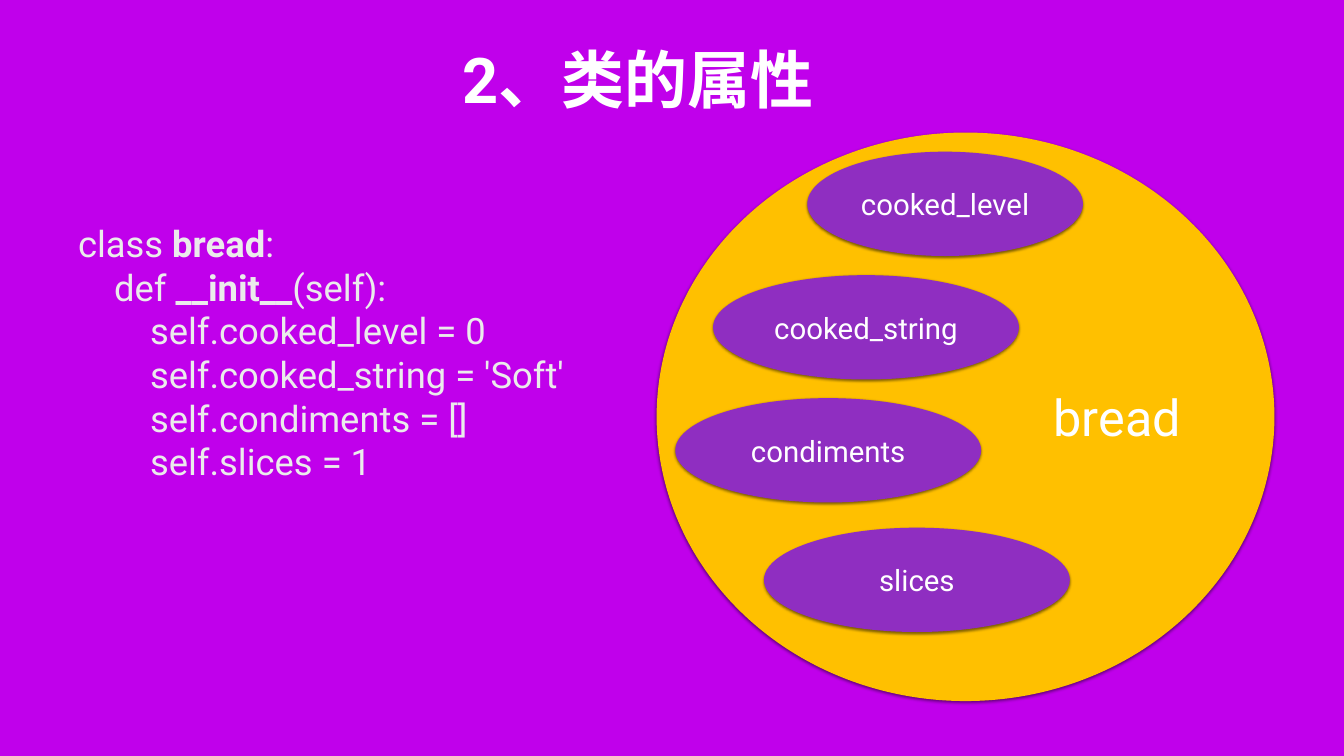
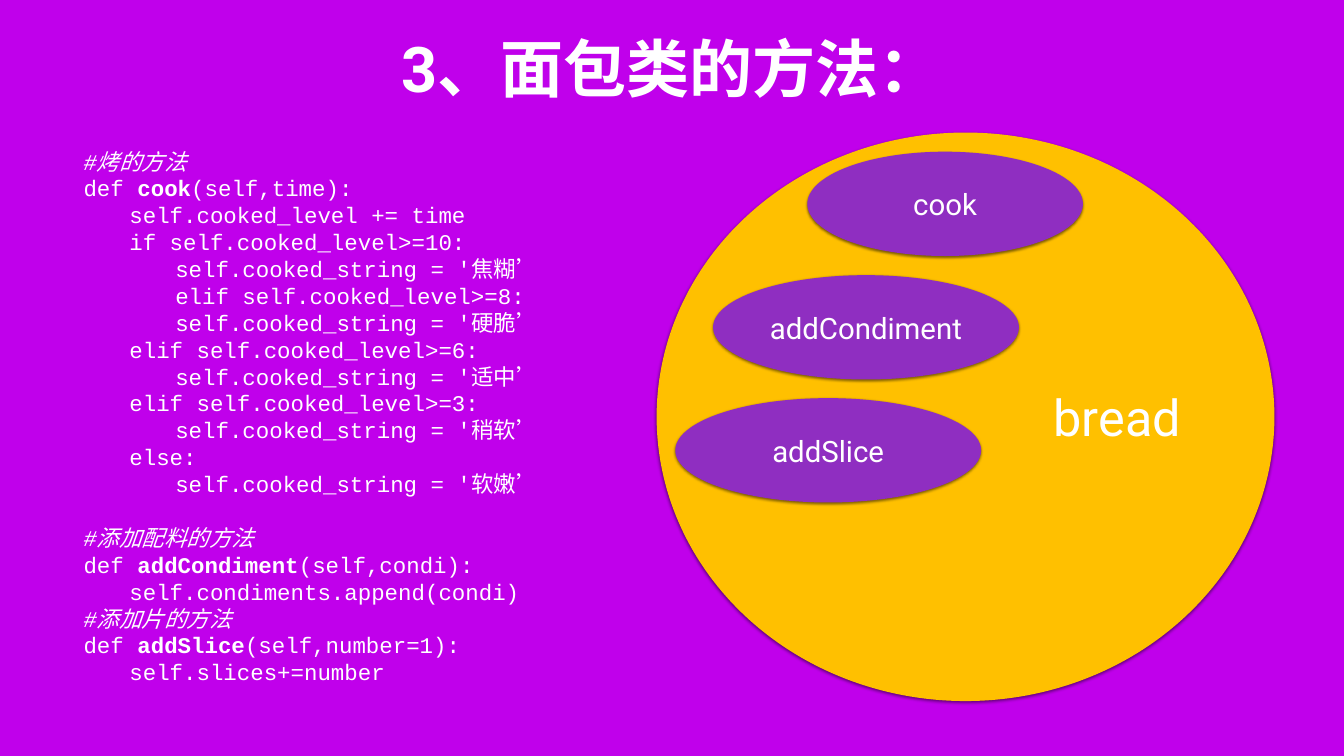
"""Build two slides on the attributes and methods of a bread class."""
from lxml import etree
from pptx import Presentation
from pptx import util as u
from pptx.dml.color import RGBColor
from pptx.enum import shapes, text
from pptx.oxml import ns

PURPLE = RGBColor(0xC0, 0x00, 0xEB)
VIOLET = RGBColor(0x8F, 0x2E, 0xC1)
AMBER = RGBColor(0xFF, 0xC0, 0x00)
WHITE = RGBColor(0xFF, 0xFF, 0xFF)
PALE = RGBColor(0xEB, 0xEB, 0xEB)
TAB_WIDTH = 0.91
INSET = u.Inches(0.06)
MEMBER_PLACES = [(16.02, 3.01, 5.47), (14.15, 5.46, 6.07),
                 (13.4, 7.9, 6.07), (15.16, 10.47, 6.07)]

ATTRIBUTE_CODE = """class *bread*:
    def *__init__*(self):
        self.cooked_level = 0
        self.cooked_string = 'Soft'
        self.condiments = []
        self.slices = 1"""

METHOD_CODE = """#烤的方法
def *cook*(self,time):
\tself.cooked_level += time
\tif self.cooked_level>=10:
\t\tself.cooked_string = '焦糊’
\t\telif self.cooked_level>=8:
\t\tself.cooked_string = '硬脆’
\telif self.cooked_level>=6:
\t\tself.cooked_string = '适中’
\telif self.cooked_level>=3:
\t\tself.cooked_string = '稍软’
\telse:
\t\tself.cooked_string = '软嫩’

#添加配料的方法
def *addCondiment*(self,condi):
\tself.condiments.append(condi)
#添加片的方法
def *addSlice*(self,number=1):
\tself.slices+=number"""


class Deck:
    """Holds the presentation, its style and the current slide."""

    def __init__(self):
        self.presentation = Presentation()
        self.presentation.slide_width = u.Inches(26.67)
        self.presentation.slide_height = u.Inches(15)
        fill = self.presentation.slide_master.background.fill
        fill.solid()
        fill.fore_color.rgb = PURPLE
        self.slide = None

    def style(self, font, size, color=WHITE, name="Roboto"):
        font.name, font.size = name, u.Pt(size)
        font.color.rgb = color

    def label(self, shape, words, size, align):
        frame = shape.text_frame
        frame.text = words
        frame.word_wrap = True
        frame.vertical_anchor = text.MSO_ANCHOR.MIDDLE
        frame.margin_left = frame.margin_right = INSET
        frame.margin_top = frame.margin_bottom = INSET
        paragraph = frame.paragraphs[0]
        paragraph.alignment = align
        font = paragraph.runs[0].font
        self.style(font, size)
        return font

    def add_slide(self, title, left, top):
        layout = self.presentation.slide_layouts.get_by_name("Title Only")
        self.slide = self.presentation.slides.add_slide(layout)
        shape = self.slide.shapes.title
        shape.left, shape.top = u.Inches(left), u.Inches(top)
        shape.width, shape.height = u.Inches(23.54), u.Inches(3.9)
        self.label(shape, title, 90, text.PP_ALIGN.CENTER).bold = True

    def add_tabs(self, paragraph):
        tabs = etree.SubElement(paragraph._p.get_or_add_pPr(), ns.qn("a:tabLst"))
        for stop in (1, 2):
            etree.SubElement(tabs, ns.qn("a:tab"), algn="l",
                             pos=str(u.Inches(stop * TAB_WIDTH)))

    def add_code(self, code, left, top, width, height, size, color, name):
        box = self.slide.shapes.add_textbox(*map(u.Inches, (left, top, width, height)))
        frame = box.text_frame
        frame.word_wrap = True
        pitch = u.Pt(size * 1.2)
        for block_index, block in enumerate(code.split("\n\n")):
            for line_index, line in enumerate(block.split("\n")):
                first_in_block = line_index == 0
                first_in_box = first_in_block and block_index == 0
                paragraph = frame.paragraphs[0] if first_in_box else frame.add_paragraph()
                if "\t" in line:
                    self.add_tabs(paragraph)
                paragraph.line_spacing = pitch
                if first_in_block and not first_in_box:
                    paragraph.space_before = pitch
                for part_index, part in enumerate(line.split("*")):
                    run = paragraph.add_run()
                    run.text = part
                    self.style(run.font, size, color, name)
                    run.font.bold = part_index % 2 == 1
                    run.font.italic = line.startswith("#")

    def add_ellipse(self, words, left, top, width, height, fill, size,
                    align=text.PP_ALIGN.CENTER):
        shape = self.slide.shapes.add_shape(
            shapes.MSO_SHAPE.OVAL, *map(u.Inches, (left, top, width, height)))
        shape.fill.solid()
        shape.fill.fore_color.rgb = fill
        shape.line.fill.background()
        self.add_shadow(shape)
        self.label(shape, words, size, align)

    def add_shadow(self, shape):
        shape.shadow.inherit = False
        effects = shape._element.spPr.find(ns.qn("a:effectLst"))
        shadow = etree.SubElement(
            effects, ns.qn("a:outerShdw"), blurRad=str(u.Pt(4)), dist=str(u.Pt(2)),
            dir="5400000", rotWithShape="0")
        color = etree.SubElement(shadow, ns.qn("a:srgbClr"), val="000000")
        etree.SubElement(color, ns.qn("a:alpha"), val="50000")

    def add_class_diagram(self, members):
        self.add_ellipse("bread", 13.03, 2.63, 12.26, 11.28, AMBER, 72,
                         text.PP_ALIGN.RIGHT)
        for member, (left, top, width) in zip(members, MEMBER_PLACES):
            self.add_ellipse(member, left, top, width, 2.07, VIOLET, 42)


def main():
    deck = Deck()
    deck.add_slide("2、类的属性", 0.89, -0.39)
    deck.add_code(ATTRIBUTE_CODE, 1.45, 4.34, 14.07, 7.85, 52, PALE, "Roboto")
    deck.add_class_diagram(["cooked_level", "cooked_string", "condiments", "slices"])

    deck.add_slide("3、面包类的方法：", 1.56, -0.62)
    deck.add_code(METHOD_CODE, 1.56, 2.88, 13.33, 10.87, 32, WHITE, "Courier New")
    deck.add_class_diagram(["cook", "addCondiment", "addSlice"])
    deck.presentation.save("out.pptx")


if __name__ == "__main__":
    main()
